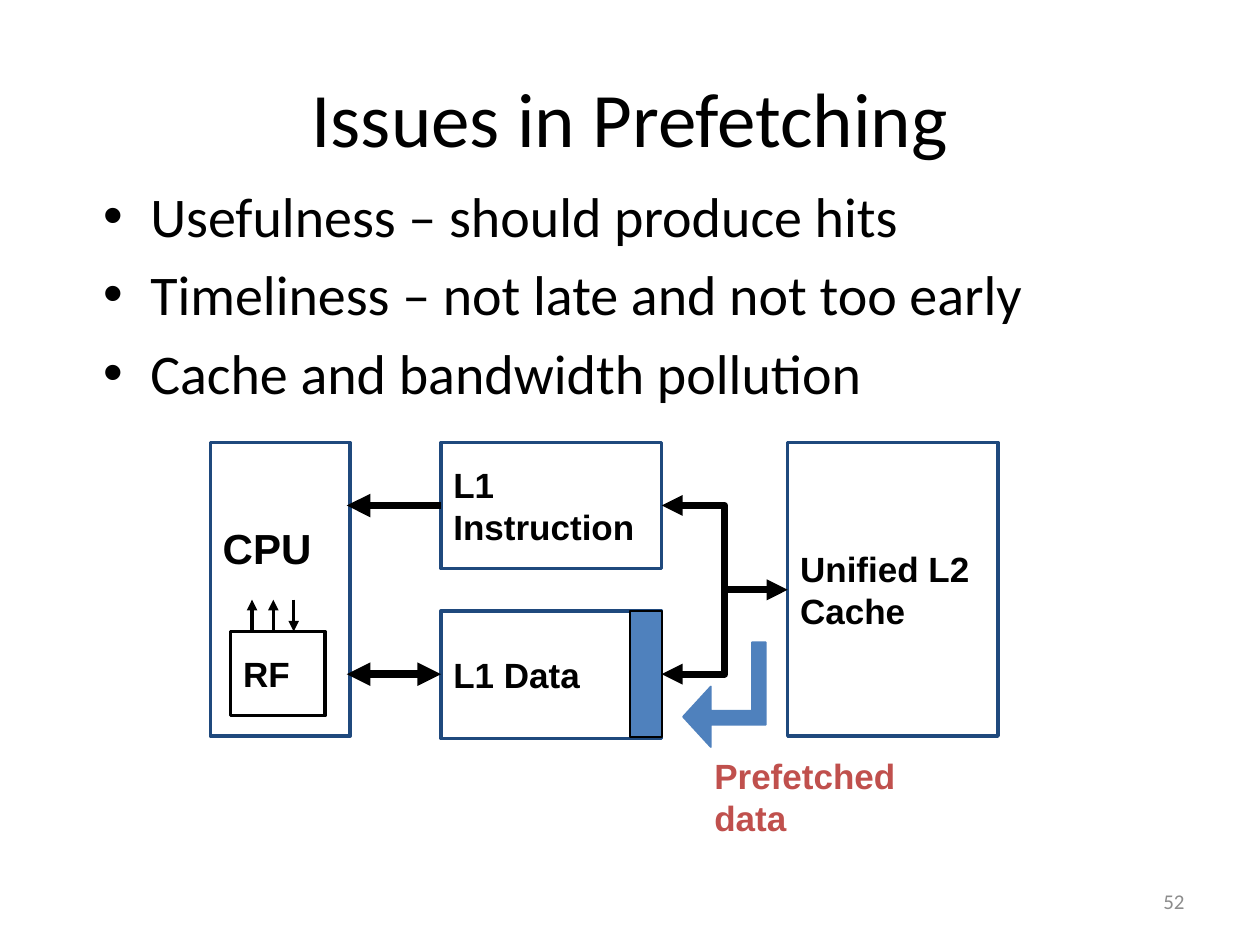
import pptx
import pptx.util
import pptx.dml.color
import pptx.enum.shapes
import pptx.enum.text
import pptx.oxml
import pptx.oxml.ns
from pptx.util import Cm

Align = pptx.enum.text.PP_ALIGN
Anchor = pptx.enum.text.MSO_ANCHOR
BLACK, WHITE, NAVY, BLUE, RED, GRAY = (
    "000000", "FFFFFF", "1F497D", "4F81BD", "C0504D", "8C8C8C")

# Content: all lengths in centimetres
BULLETS = [
    "Usefulness – should produce hits",
    "Timeliness – not late and not too early",
    "Cache and bandwidth pollution",
]

TOP, BOX_HEIGHT, TALL = 8.92, 2.54, 5.92
CPU_LEFT, L1_LEFT, L2_LEFT = 4.24, 8.89, 15.88
L1_WIDTH, DATA_TOP = 4.45, 12.32
L1_RIGHT = L1_LEFT + L1_WIDTH
CPU_PORT, BUS = 6.99, 14.61
INSTRUCTION_Y, DATA_Y = 10.19, 13.59
MIDDLE_Y = (INSTRUCTION_Y + DATA_Y) / 2
RF_TOP, RF_ARROW_TOP = 12.73, 12.09

# Box: left, top, width, height, fill, line colour, line width, label
BLOCKS = [
    (CPU_LEFT, TOP, 2.82, TALL, WHITE, NAVY, 2, ""),
    (L1_LEFT, DATA_TOP, L1_WIDTH, 2.57, WHITE, NAVY, 2, "L1 Data"),
    (L1_LEFT, TOP, L1_WIDTH, BOX_HEIGHT, WHITE, NAVY, 2, "L1 Instruction"),
    (L2_LEFT, TOP, 4.24, TALL, WHITE, NAVY, 2, "Unified L2 Cache"),
    (4.65, RF_TOP, 1.9, 1.7, WHITE, BLACK, 2, "RF"),
    (12.7, DATA_TOP, 0.64, BOX_HEIGHT, BLUE, BLACK, 1, ""),
]

# Straight arrow: start, end, width, arrowhead at both ends
ARROWS = [
    ((L1_LEFT, INSTRUCTION_Y), (CPU_PORT, INSTRUCTION_Y), 4.5, False),
    ((L1_LEFT, DATA_Y), (CPU_PORT, DATA_Y), 4.5, True),
    ((5.08, RF_TOP), (5.08, RF_ARROW_TOP), 2, False),
    ((5.51, RF_TOP), (5.51, RF_ARROW_TOP), 2, False),
    ((5.92, RF_ARROW_TOP), (5.92, RF_TOP), 2, False),
]

# Bus between the L1 caches and L2: points, arrowhead at both ends
BUS_LINES = [
    ([(L1_RIGHT, INSTRUCTION_Y), (BUS, INSTRUCTION_Y),
      (BUS, MIDDLE_Y), (L2_LEFT, MIDDLE_Y)], True),
    ([(BUS, MIDDLE_Y), (BUS, DATA_Y), (L1_RIGHT, DATA_Y)], False),
]

PREFETCH_ARROW = [
    (13.77, 14.45), (14.33, 13.84), (14.33, 14.33), (15.16, 14.33), (15.16, 12.95),
    (15.44, 12.95), (15.44, 14.61), (14.33, 14.61), (14.33, 15.06),
]


def color(value):
    return pptx.dml.color.RGBColor.from_string(value)


def set_line(shape, value, width):
    shape.line.color.rgb = color(value)
    shape.line.width = pptx.util.Pt(width)


def set_fill(shape, value):
    shape.fill.solid()
    shape.fill.fore_color.rgb = color(value)


def add_arrowheads(shape, both):
    line = shape.line._get_or_add_ln()
    for tag in ("a:headEnd", "a:tailEnd") if both else ("a:tailEnd",):
        end = pptx.oxml.parse_xml(f"<{tag} {pptx.oxml.ns.nsdecls('a')} type='triangle'/>")
        line.append(end)


def add_run(paragraph, text, size, font, value, bold=False):
    run = paragraph.add_run()
    run.text = text
    run.font.size = pptx.util.Pt(size)
    run.font.name = font
    run.font.bold = bold
    run.font.color.rgb = color(value)


def write_label(shape, text, size=20, font="Arial", value=BLACK, bold=True,
                align=Align.LEFT, anchor=Anchor.MIDDLE, wrap=True):
    frame = shape.text_frame
    frame.word_wrap = wrap
    frame.vertical_anchor = anchor
    paragraph = frame.paragraphs[0]
    paragraph.alignment = align
    add_run(paragraph, text, size, font, value, bold)


def add_textbox(slide, *box):
    return slide.shapes.add_textbox(*map(Cm, box))


def add_bullet(paragraph):
    properties = paragraph._p.get_or_add_pPr()
    properties.set("marL", str(Cm(0.95)))
    properties.set("indent", str(-Cm(0.95)))
    for xml in ("buFont {} typeface='Arial'", "buChar {} char='•'"):
        properties.append(pptx.oxml.parse_xml(
            "<a:" + xml.format(pptx.oxml.ns.nsdecls("a")) + "/>"))


def add_outline(slide, points, close):
    start, *rest = [(Cm(x), Cm(y)) for x, y in points]
    builder = slide.shapes.build_freeform(*start)
    builder.add_line_segments(rest, close=close)
    shape = builder.convert_to_shape()
    shape.shadow.inherit = False
    return shape


def main():
    presentation = pptx.Presentation()
    presentation.slide_width, presentation.slide_height = Cm(25.4), Cm(19.05)
    slide = presentation.slides.add_slide(presentation.slide_layouts[6])

    # Slide number, title and bullets
    write_label(add_textbox(slide, 18.21, 17.65, 5.92, 1.02), "52", 12, "Calibri",
                GRAY, False, Align.RIGHT)
    write_label(add_textbox(slide, 1.27, 0.76, 22.86, 3.18), "Issues in Prefetching",
                44, "Calibri", BLACK, False, Align.CENTER)
    frame = add_textbox(slide, 1.83, 3.53, 21.59, 4.45).text_frame
    frame.word_wrap = True
    for index, text in enumerate(BULLETS):
        paragraph = frame.add_paragraph() if index else frame.paragraphs[0]
        add_bullet(paragraph)
        if index:
            paragraph.space_before = pptx.util.Pt(6.4)
        add_run(paragraph, text, 32, "Calibri", BLACK)

    # Processor, caches and register file
    for *box, fill, line, width, label in BLOCKS:
        shape = slide.shapes.add_shape(
            pptx.enum.shapes.MSO_SHAPE.RECTANGLE, *map(Cm, box))
        shape.shadow.inherit = False
        set_fill(shape, fill)
        set_line(shape, line, width)
        if label:
            write_label(shape, label, wrap=label != "RF")

    # Straight arrows
    for start, end, width, both in ARROWS:
        connector = slide.shapes.add_connector(
            pptx.enum.shapes.MSO_CONNECTOR.STRAIGHT, *map(Cm, start + end))
        set_line(connector, BLACK, width)
        add_arrowheads(connector, both)
        connector._element.spPr.append(pptx.oxml.parse_xml(
            f"<a:effectLst {pptx.oxml.ns.nsdecls('a')}/>"))

    # Bus and block arrow
    for points, both in BUS_LINES:
        bus = add_outline(slide, points, close=False)
        bus.fill.background()
        set_line(bus, BLACK, 4)
        add_arrowheads(bus, both)
    prefetch = add_outline(slide, PREFETCH_ARROW, close=True)
    set_fill(prefetch, BLUE)
    set_line(prefetch, BLUE, 1)

    # Free labels
    write_label(add_textbox(slide, CPU_LEFT, 10.41, 2.74, 1.27), "CPU", 24,
                anchor=Anchor.TOP)
    write_label(add_textbox(slide, 14.15, 15.09, 5.79, 1.09), "Prefetched data",
                value=RED, anchor=Anchor.TOP, wrap=False)

    presentation.save("out.pptx")


if __name__ == "__main__":
    main()
